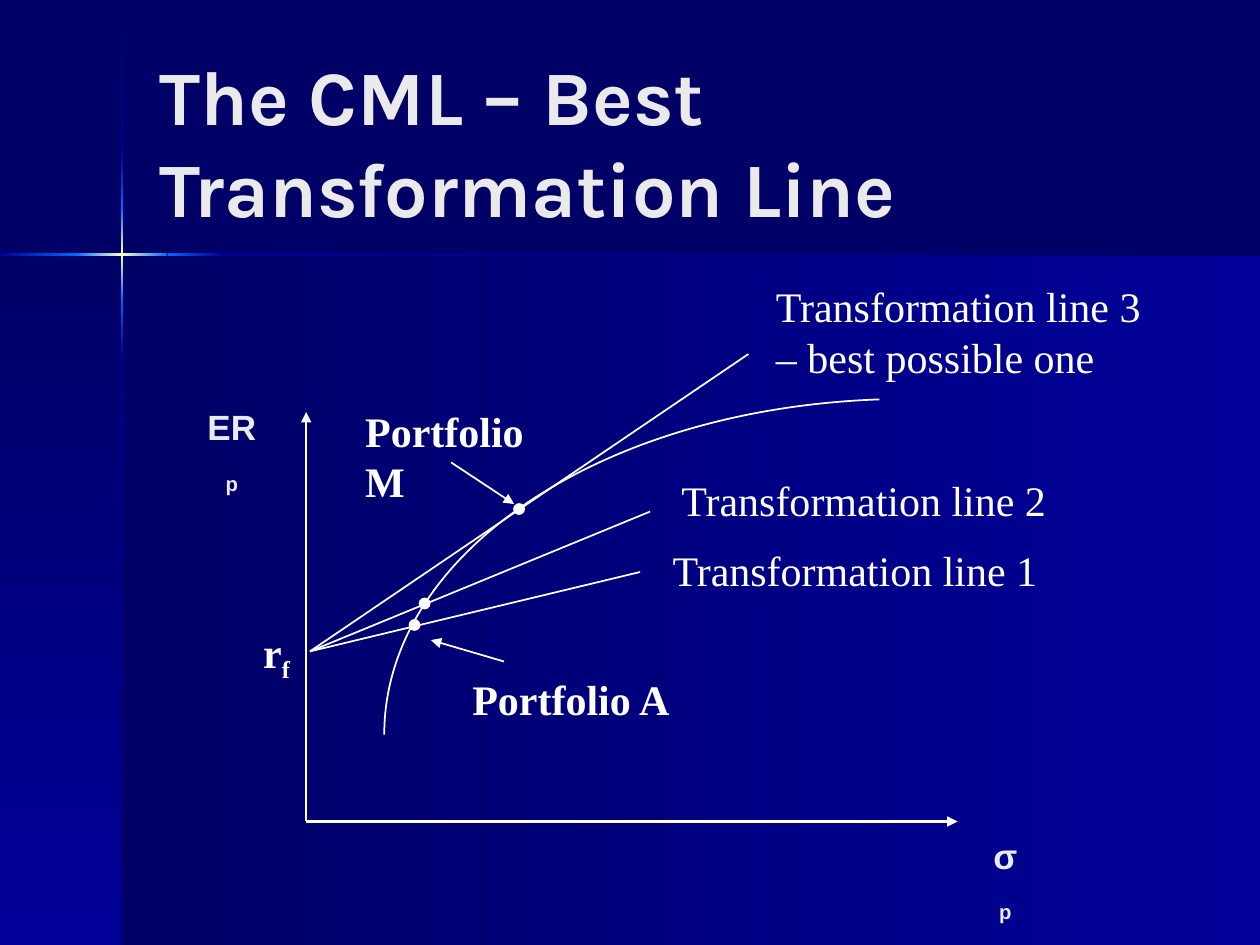
from itertools import pairwise

from lxml.etree import SubElement
from pptx import Presentation
from pptx.dml.color import RGBColor
from pptx.enum.shapes import MSO_CONNECTOR, MSO_SHAPE
from pptx.enum.text import MSO_ANCHOR, PP_ALIGN
from pptx.oxml.ns import qn
from pptx.util import Inches, Pt

WIDTH, HEIGHT = 10, 7.5
NAVY, BLUE, BRIGHT, CREAM = "000066", "000099", "0066FF", "FFFFCC"
WHITE, PALE = "FFFFFF", "EAEAEA"
SERIF, SANS = "Times New Roman", "Arial"

# Glowing cross: edges of consecutive segments and the colours inside each one
CROSS_X, CROSS_Y, CROSS_THICKNESS = 0.97, 2.02, 0.02
GLOW = [(BLUE, BRIGHT), (BRIGHT, CREAM, BRIGHT), (BRIGHT, BLUE)]
HORIZONTAL_EDGES = [0, 0.6, 1.33, 1.77, WIDTH]
HORIZONTAL_COLORS = [*GLOW, (BLUE, NAVY)]
VERTICAL_EDGES = [0.01, 1.21, 1.65, 2.38, 2.82, HEIGHT]
VERTICAL_COLORS = [(NAVY, BLUE), *GLOW, (BLUE, NAVY)]

ORIGIN, RISK_FREE = (2.43, 6.52), (2.46, 5.17)
AXIS_ENDS = [(2.43, 3.27), (7.6, 6.52)]
TRANSFORMATION_ENDS = [(5.08, 4.54), (5.16, 4.06), (5.94, 2.81)]
POINTERS = [((3.58, 3.67), (4.08, 4)), ((4, 5.25), (3.42, 5.08))]
FRONTIER = [(3.05, 5.83), (3.05, 4.41), (4.74, 3.25), (6.98, 3.17)]
PORTFOLIOS = [(4.12, 4.04), (3.37, 4.79), (3.29, 4.96)]
DOT = 0.08

# left, top, width, height, paragraphs, bold
LABELS = [
    (5.24, 4.27, 3.1, 0.5, ["Transformation line 1"], False),
    (5.31, 3.72, 3.1, 0.5, ["Transformation line 2"], False),
    (6.06, 2.18, 3.19, 0.9, ["Transformation line 3", "– best possible one"], False),
    (3.65, 5.3, 1.78, 0.5, ["Portfolio A"], True),
    (2.8, 3.17, 1.85, 0.5, ["Portfolio M"], True),
]
# left, top, width, height, symbol, subscript
AXIS_NAMES = [
    (1.52, 3.17, 0.64, 0.48, "ER", "p"),
    (7.78, 6.57, 0.4, 0.48, "σ", "p"),
]


def rgb(color):
    return RGBColor.from_string(color)


def add_gradient_bar(slide, left, top, width, height, colors, angle):
    """Add a borderless rectangle shaded along angle (clockwise degrees)."""
    bar = slide.shapes.add_shape(
        MSO_SHAPE.RECTANGLE, Inches(left), Inches(top), Inches(width), Inches(height))
    bar.shadow.inherit = False
    bar.line.fill.background()
    bar.fill.gradient()
    gradient = bar.element.spPr.find(qn("a:gradFill"))
    stops = gradient.find(qn("a:gsLst"))
    for stop in list(stops):
        stops.remove(stop)
    for index, color in enumerate(colors):
        position = 100000 * index // (len(colors) - 1)
        stop = SubElement(stops, qn("a:gs"), pos=str(position))
        SubElement(stop, qn("a:srgbClr"), val=color)
    gradient.find(qn("a:lin")).set("ang", str(angle * 60000))


def add_line(slide, start, end, weight=1, arrow=False):
    line = slide.shapes.add_connector(
        MSO_CONNECTOR.STRAIGHT, *(Inches(value) for value in (*start, *end)))
    line.line.color.rgb = rgb(WHITE)
    line.line.width = Pt(weight)
    if arrow:
        SubElement(line.line._get_or_add_ln(), qn("a:tailEnd"), type="triangle")
    SubElement(line.element.spPr, qn("a:effectLst"))


def add_curve(slide, points):
    """Add an open cubic Bezier curve through its four control points."""
    builder = slide.shapes.build_freeform(
        *(Inches(value) for value in points[0]), scale=1.0)
    builder.add_line_segments(
        [(Inches(x), Inches(y)) for x, y in points[1:]], close=False)
    curve = builder.convert_to_shape()
    segments = list(curve.element.iter(qn("a:lnTo")))
    outline = segments[0].getparent()
    bezier = SubElement(outline, qn("a:cubicBezTo"))
    for segment in segments:
        bezier.append(segment[0])
        outline.remove(segment)
    curve.shadow.inherit = False
    curve.fill.background()
    curve.line.color.rgb = rgb(WHITE)
    curve.line.width = Pt(1)


def add_dot(slide, x, y):
    dot = slide.shapes.add_shape(
        MSO_SHAPE.OVAL, Inches(x - DOT / 2), Inches(y - DOT / 2), Inches(DOT), Inches(DOT))
    dot.shadow.inherit = False
    dot.fill.solid()
    dot.fill.fore_color.rgb = rgb(WHITE)
    dot.line.color.rgb = rgb(WHITE)
    dot.line.width = Pt(1)


def add_text_frame(slide, left, top, width, height, wrap):
    box = slide.shapes.add_textbox(
        Inches(left), Inches(top), Inches(width), Inches(height))
    box.text_frame.word_wrap = wrap
    return box.text_frame


def add_run(paragraph, text, size, font, color, bold=False, subscript=False):
    run = paragraph.add_run()
    run.text = text
    run.font.size = Pt(size)
    run.font.name = font
    run.font.bold = bold
    run.font.color.rgb = rgb(color)
    if subscript:
        run.font._element.set("baseline", "-25000")


def draw_backdrop(slide):
    slide.background.fill.solid()
    slide.background.fill.fore_color.rgb = rgb(NAVY)
    panel_height = HEIGHT - CROSS_Y
    add_gradient_bar(
        slide, CROSS_X, CROSS_Y, WIDTH - CROSS_X, panel_height, (NAVY, BLUE), 0)
    add_gradient_bar(slide, 0, CROSS_Y, CROSS_X, panel_height, (NAVY, BLUE), 90)
    half = CROSS_THICKNESS / 2
    for (start, end), colors in zip(pairwise(HORIZONTAL_EDGES), HORIZONTAL_COLORS):
        add_gradient_bar(
            slide, start, CROSS_Y - half, end - start, CROSS_THICKNESS, colors, 0)
    for (start, end), colors in zip(pairwise(VERTICAL_EDGES), VERTICAL_COLORS):
        add_gradient_bar(
            slide, CROSS_X - half, start, CROSS_THICKNESS, end - start, colors, 90)


def draw_diagram(slide):
    for end in AXIS_ENDS:
        add_line(slide, ORIGIN, end, weight=1.5, arrow=True)
    add_curve(slide, FRONTIER)
    for end in TRANSFORMATION_ENDS:
        add_line(slide, RISK_FREE, end)
    for x, y in PORTFOLIOS:
        add_dot(slide, x, y)
    for start, end in POINTERS:
        add_line(slide, start, end, arrow=True)


def write_text(slide):
    title = add_text_frame(slide, 1.17, 0.33, 8.25, 1.57, wrap=True)
    title.vertical_anchor = MSO_ANCHOR.MIDDLE
    add_run(title.paragraphs[0], "The CML – Best Transformation Line",
            44, "Karla", PALE, bold=True)

    for *place, lines, bold in LABELS:
        frame = add_text_frame(slide, *place, wrap=False)
        for index, line in enumerate(lines):
            paragraph = frame.add_paragraph() if index else frame.paragraphs[0]
            add_run(paragraph, line, 24, SERIF, WHITE, bold)

    for *place, symbol, subscript in AXIS_NAMES:
        paragraph = add_text_frame(slide, *place, wrap=True).paragraphs[0]
        paragraph.alignment = PP_ALIGN.CENTER
        add_run(paragraph, symbol, 20, SANS, PALE, bold=True)
        add_run(paragraph, subscript, 20, SANS, PALE, bold=True, subscript=True)

    rate = add_text_frame(slide, 1.99, 4.92, 0.41, 0.56, wrap=False).paragraphs[0]
    add_run(rate, "r", 24, SERIF, WHITE, bold=True)
    add_run(rate, "f", 24, SERIF, WHITE, bold=True, subscript=True)


def main():
    presentation = Presentation()
    presentation.slide_width = Inches(WIDTH)
    presentation.slide_height = Inches(HEIGHT)
    slide = presentation.slides.add_slide(presentation.slide_layouts[6])
    draw_backdrop(slide)
    draw_diagram(slide)
    write_text(slide)
    presentation.save("out.pptx")


if __name__ == "__main__":
    main()
